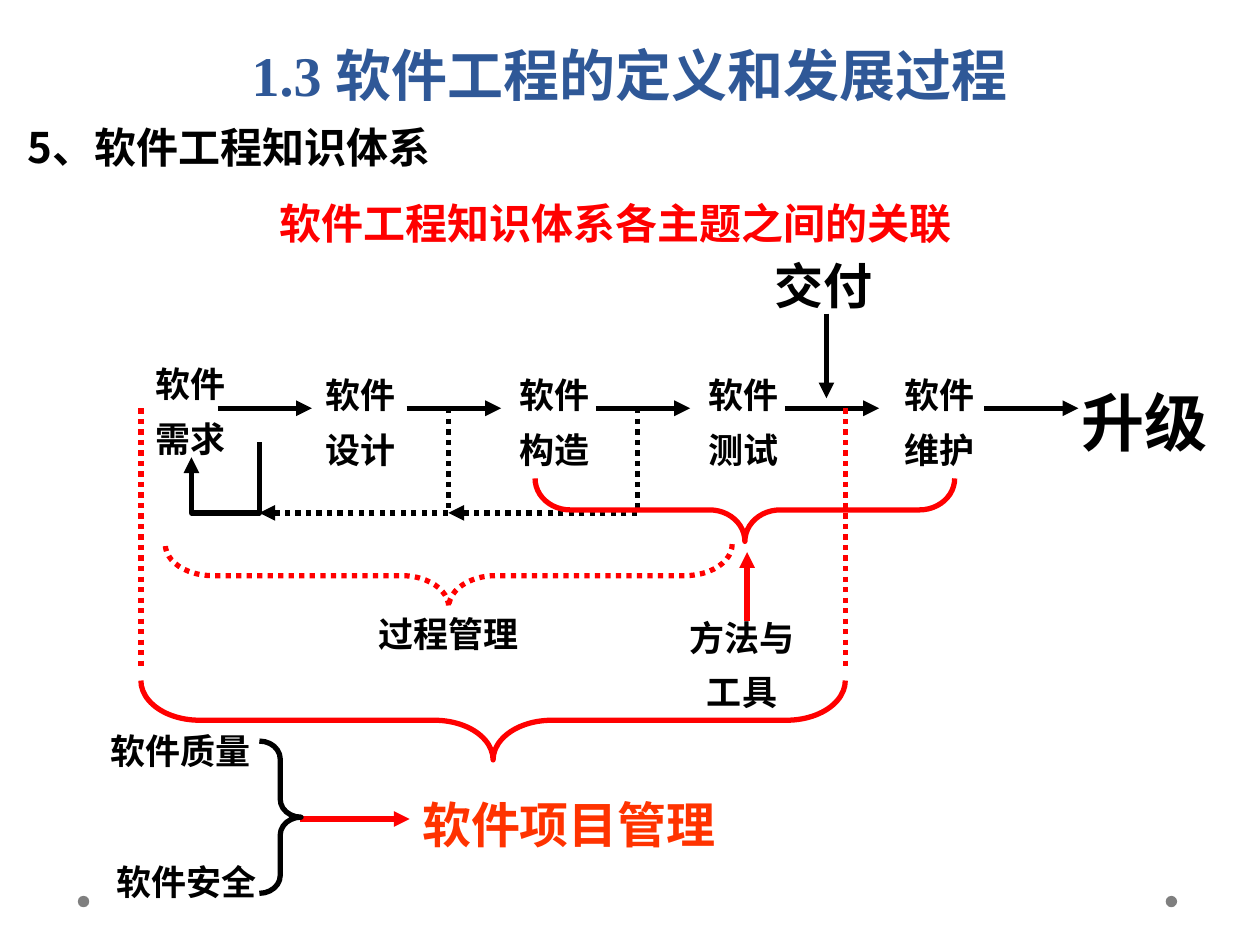
from lxml.etree import SubElement as Sub
from pptx import Presentation
from pptx.dml.color import RGBColor as Rgb
from pptx.enum.dml import MSO_LINE as Dash
from pptx.enum.shapes import MSO_CONNECTOR as Conn, MSO_SHAPE as Kind
from pptx.enum.text import MSO_ANCHOR as Anchor, PP_ALIGN as Align
from pptx.oxml.ns import qn
from pptx.util import Cm, Pt

HUES = {"ink": "000000", "red": "FF0000", "blue": "2F5897",
        "fire": "FF3300", "gray": "7F7F7F"}
SERIF, SANS = "Times New Roman", "Noto Sans CJK SC"


def hue(name):
    return Rgb.from_string(HUES[name])


def write(frame, text, size=20, color="ink", face=SERIF,
          align=Align.CENTER, gap=1.3):
    para = frame.paragraphs[0]
    para.alignment, para.line_spacing = align, gap
    run = para.add_run()
    run.text = text
    font = run.font
    font.size, font.bold, font.name = Pt(size), True, face
    font.color.rgb = hue(color)
    Sub(run.font._element, qn("a:ea"), typeface=SANS)


class Board:
    """Hold the line style and the current slide."""

    def __init__(self, slide, width=3):
        self.shapes, self.width = slide.shapes, Pt(width)

    def text(self, text, x, y, w, h, anchor=Anchor.TOP, **style):
        frame = self.shapes.add_textbox(Cm(x), Cm(y), Cm(w), Cm(h)).text_frame
        frame.word_wrap, frame.vertical_anchor = True, anchor
        write(frame, text, **style)

    def stroke(self, shape, color, dots, arrow):
        line = shape.line
        line.color.rgb, line.width = hue(color), self.width
        if dots:
            line.dash_style = Dash.ROUND_DOT
        if arrow:
            Sub(shape._element.spPr.find(qn("a:ln")), qn("a:tailEnd"), type="triangle")

    def line(self, x, y, to_x, to_y, color="ink", dots=False, arrow=True):
        line = self.shapes.add_connector(
            Conn.STRAIGHT, Cm(x), Cm(y), Cm(to_x), Cm(to_y))
        self.stroke(line, color, dots, arrow)
        Sub(line._element.spPr, qn("a:effectLst"))

    def bend(self, points, dots=False):
        first, *rest = [(Cm(x), Cm(y)) for x, y in points]
        pen = self.shapes.build_freeform(*first)
        pen.add_line_segments(rest, close=False)
        shape = pen.convert_to_shape()
        shape.fill.background()
        self.stroke(shape, "ink", dots, True)
        shape.shadow.inherit = False

    def brace(self, x, y, w, h, curve, color="red", turn=90, dots=False):
        shape = self.shapes.add_shape(
            Kind.RIGHT_BRACE, Cm(x), Cm(y), Cm(w), Cm(h))
        shape.adjustments[0], shape.rotation = curve, turn
        shape.fill.background()
        self.stroke(shape, color, dots, False)
        shape.shadow.inherit = False

    def dot(self, x, y, size):
        dot = self.shapes.add_shape(Kind.OVAL, Cm(x), Cm(y), Cm(size), Cm(size))
        dot.fill.solid()
        dot.fill.fore_color.rgb = hue("gray")
        dot.line.fill.background()
        dot.shadow.inherit = False


def main():
    deck = Presentation()
    deck.slide_width, deck.slide_height = Cm(25.4), Cm(19.05)
    board = Board(deck.slides.add_slide(deck.slide_layouts[6]))
    axis, base, step = 8.23, 10.34, 3.81

    for x in (23.5, 1.57):
        board.dot(x, 18.06, 0.23)

    board.text("软件工程知识体系各主题之间的关联", 0.97, 3.33, 22.86, 1.8,
               Anchor.BOTTOM, size=24, color="red", face=SANS, gap=Pt(58))
    board.text("1.3 软件工程的定义和发展过程", 1.27, 0, 22.86, 2.39,
               size=32, color="blue", gap=Pt(58))
    board.text("5、软件工程知识体系", 0.3, 2.03, 23.39, 1.57,
               size=24, face=SANS, align=Align.LEFT)

    for text, x, y, w in (
            ("软件需求", 2.64, 6.93, 2.39), ("软件设计", 6.07, 7.16, 2.39),
            ("软件构造", 9.88, 7.16, 2.59), ("软件测试", 13.69, 7.16, 2.59),
            ("软件维护", 17.65, 7.16, 2.59), ("方法与工具", 13.46, 12.04, 3)):
        board.text(text, x, y, w, 2.46)
    for text, x, y, w in (
            ("过程管理", 7.34, 11.96, 3.4), ("软件质量", 1.85, 14.33, 3.58),
            ("软件安全", 2.06, 16.97, 3.4)):
        board.text(text, x, y, w, 1.37)
    board.text("软件项目管理", 7.7, 15.54, 7.54, 1.8, size=28, color="fire")
    board.text("交付", 15.01, 4.67, 3.18, 1.8, size=28)
    board.text("升级", 21.46, 7.14, 3.23, 2.24, size=36)

    for x in [4.39 + step * i for i in range(4)] + [19.84]:
        board.line(x, axis, x + 1.9, axis)
    board.line(16.66, 6.32, 16.66, 8.03)
    board.line(15.06, 12.52, 15.06, 11.13, "red")
    board.line(6.05, 16.51, 8.26, 16.51, "red")
    for x in (2.84, 17.04):
        board.line(x, axis, x, 13.51, "red", dots=True, arrow=False)

    left = 5.23
    board.bend([(left, 8.92), (left, base), (3.86, base), (3.86, 9.22)])
    for x in (left, left + step):
        board.bend([(x + step, axis), (x + step, base), (x, base)], dots=True)

    board.brace(14.38, 6.05, 1.27, 8.46, 0.56)
    board.brace(8.41, 5.89, 1.27, 11.43, 0.75, dots=True)
    board.brace(left, 14.94, 0.84, 3.07, 0.43, "ink", 0)
    board.brace(9.14, 7.42, 1.6, 14.2, 0.74)

    deck.save("out.pptx")


if __name__ == "__main__":
    main()
